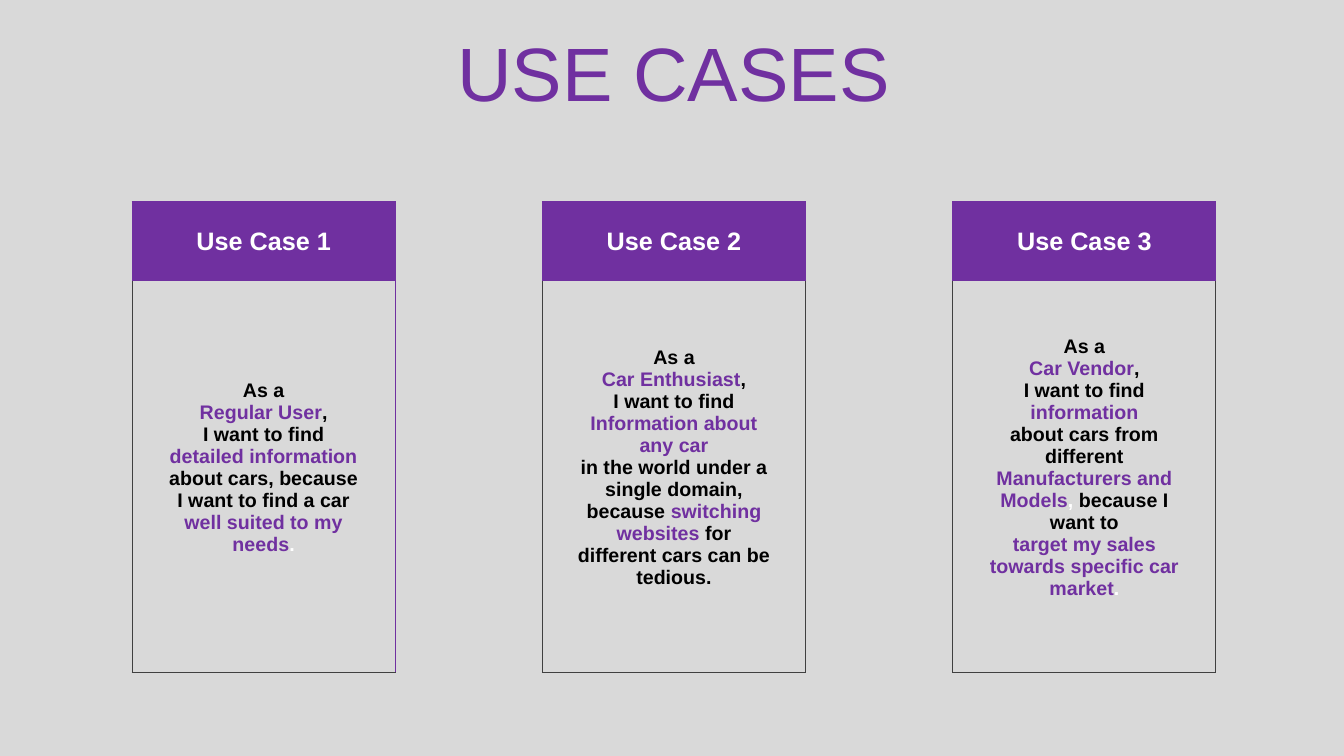
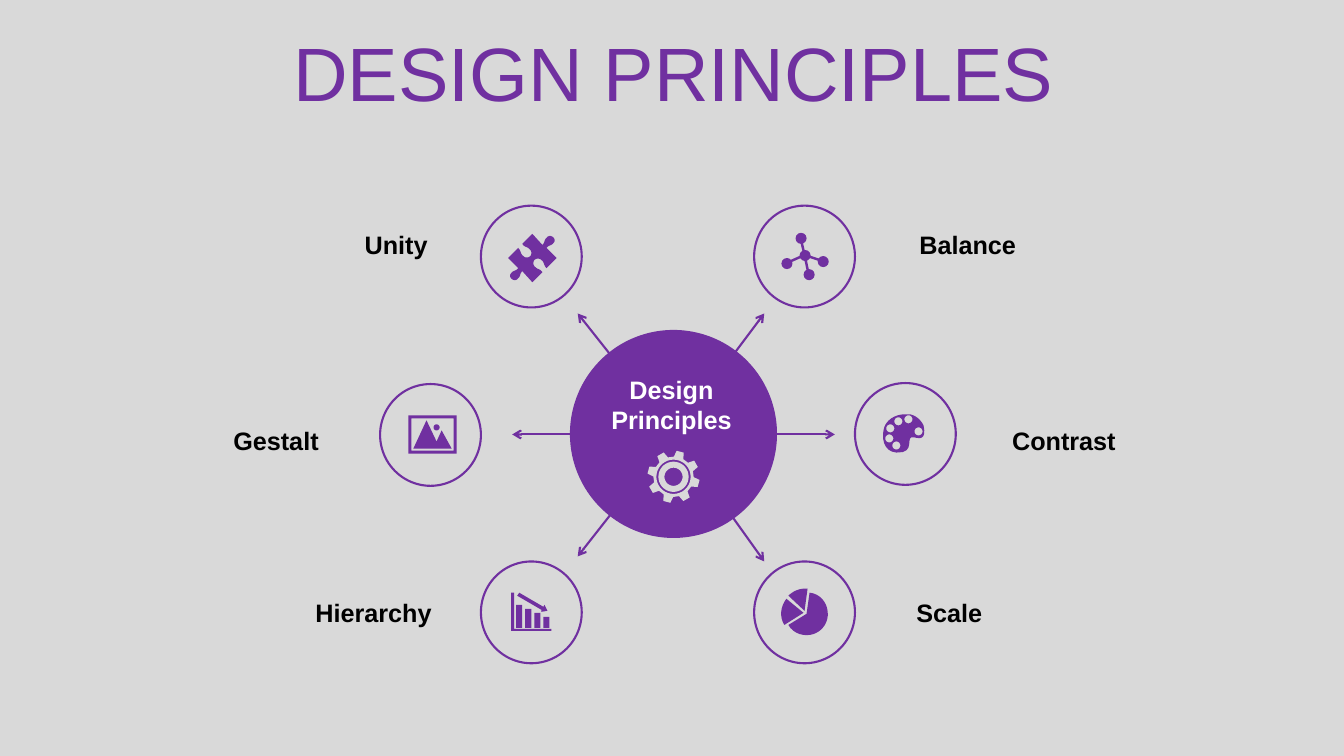
"""Build a use case slide and a design principles slide."""
import math
import pptx
import pptx.dml.color
import pptx.enum.shapes
import pptx.enum.text
import pptx.oxml.ns
import pptx.oxml.xmlchemy
import pptx.util

Inches = pptx.util.Inches
Pt = pptx.util.Pt
RGB = pptx.dml.color.RGBColor
SHAPE = pptx.enum.shapes.MSO_SHAPE
LINE = pptx.enum.shapes.MSO_CONNECTOR.STRAIGHT
ALIGN = pptx.enum.text.PP_ALIGN
MIDDLE = pptx.enum.text.MSO_ANCHOR.MIDDLE
make = pptx.oxml.xmlchemy.OxmlElement
qn = pptx.oxml.ns.qn

PURPLE = RGB(0x70, 0x30, 0xA0)
GRAY = RGB(0xD9, 0xD9, 0xD9)
DARK = RGB(0x40, 0x40, 0x40)
BLACK = RGB(0, 0, 0)
WHITE = RGB(0xFF, 0xFF, 0xFF)
FONT = "Arial"
PLAIN = "{2D5ABB26-0587-4C30-8999-92F81FD0307C}"

CASES = [
    ("Use Case 1", PURPLE, [
        [("As a", BLACK)],
        [("Regular User", PURPLE), (",", BLACK)],
        [("I want to find", BLACK)],
        [("detailed information", PURPLE)],
        [("about cars, because I want to find a car", BLACK)],
        [("well suited to my needs", PURPLE), (".", WHITE)],
    ]),
    ("Use Case 2", DARK, [
        [("As a", BLACK)],
        [("Car Enthusiast", PURPLE), (",", BLACK)],
        [("I want to find", BLACK)],
        [("Information about any car", PURPLE)],
        [("in the world under a single domain, because ", BLACK),
         ("switching websites ", PURPLE),
         ("for different cars can be tedious.", BLACK)],
    ]),
    ("Use Case 3", DARK, [
        [("As a", BLACK)],
        [("Car Vendor", PURPLE), (",", BLACK)],
        [("I want to find", BLACK)],
        [("information", PURPLE)],
        [("about cars from different ", BLACK),
         ("Manufacturers and Models", PURPLE), (", ", WHITE),
         ("because I want to", BLACK)],
        [("target my sales towards specific car market", PURPLE),
         (".", WHITE)],
    ]),
]
COLS = (0.25, 2.11, 0.25)
ROWS = (0.79, 3.48, 0.4)

HUB = (6.68, 4.31)
LABEL_W = 2.7
SPOKES = [
    ("Balance", ALIGN.LEFT, 9.02, 2.23, (7.48, 2.04), (7.58, 3.11)),
    ("Contrast", ALIGN.LEFT, 9.94, 4.17, (8.48, 3.8), (8.28, 4.31)),
    ("Scale", ALIGN.LEFT, 8.99, 5.88, (7.48, 5.57), (7.58, 5.57)),
    ("Unity", ALIGN.RIGHT, 4.34, 2.23, (4.77, 2.04), (5.73, 3.11)),
    ("Gestalt", ALIGN.RIGHT, 3.26, 4.17, (3.77, 3.81), (5.08, 4.31)),
    ("Hierarchy", ALIGN.RIGHT, 4.38, 5.88, (4.77, 5.57), (5.73, 5.52)),
]
CORE = (7.98, 2.53)
NODES = [(7.94, 2.36), (8.16, 2.59), (8.02, 2.72), (7.8, 2.61)]
WELLS = [(8.89, 4.42), (8.82, 4.35), (9.11, 4.28),
         (8.83, 4.25), (8.91, 4.18), (9.01, 4.16)]
PALETTE = [
    (8.98, 4.11), (9.01, 4.11), (9.07, 4.11, 9.13, 4.16, 9.16, 4.22),
    (9.19, 4.37, 9.12, 4.35, 9.07, 4.34),
    (8.96, 4.31, 9.1, 4.5, 8.89, 4.49),
    (8.76, 4.48, 8.74, 4.34, 8.77, 4.24),
    (8.79, 4.18, 8.86, 4.11, 8.98, 4.11),
]
PIE = [
    [(7.8, 5.94), (7.97, 6.08), (7.78, 6.2),
     (7.73, 6.12, 7.74, 6.02, 7.8, 5.94)],
    [(8.03, 5.88), (8.13, 5.89, 8.2, 5.97, 8.21, 6.07),
     (8.22, 6.17, 8.16, 6.26, 8.07, 6.29),
     (7.98, 6.32, 7.87, 6.29, 7.82, 6.2), (8, 6.09)],
    [(7.98, 5.84), (8.01, 5.84), (7.98, 6.06), (7.82, 5.91),
     (7.86, 5.87, 7.92, 5.84, 7.98, 5.84)],
]
PUZZLE_MID = (5.28, 2.56)
PUZZLE_HALF = [
    (5.48, 2.35), (5.5, 2.36, 5.51, 2.39, 5.49, 2.41),
    (5.47, 2.44, 5.44, 2.43, 5.42, 2.46), (5.52, 2.56), (5.42, 2.66),
    (5.39, 2.63, 5.4, 2.6, 5.37, 2.58),
    (5.35, 2.56, 5.32, 2.56, 5.3, 2.58),
    (5.29, 2.59, 5.28, 2.63, 5.31, 2.65),
    (5.34, 2.68, 5.35, 2.66, 5.38, 2.7), (5.28, 2.8), (5.18, 2.69),
    (5.15, 2.72, 5.17, 2.73, 5.14, 2.76),
    (5.12, 2.79, 5.08, 2.78, 5.07, 2.76),
]
PEAKS = [(4.23, 4.17), (4.33, 4.38), (4.38, 4.27), (4.48, 4.45), (4.1, 4.45)]
AXES = [(5.07, 5.88), (5.1, 5.88), (5.1, 6.24), (5.47, 6.24),
        (5.47, 6.26), (5.07, 6.26)]
TREND = [(5.15, 5.88), (5.39, 6.02), (5.4, 6), (5.43, 6.06),
         (5.37, 6.07), (5.37, 6.05), (5.13, 5.91)]
BARS = (6, 6.04, 6.08, 6.12)


def trace(path):
    out = [path[0]]
    for seg in path[1:]:
        if len(seg) == 2:
            out.append(seg)
            continue
        knots = [out[-1], seg[:2], seg[2:4], seg[4:]]
        for step in range(1, 9):
            t = step / 8
            mix = ((1 - t) ** 3, 3 * t * (1 - t) ** 2, 3 * t * t * (1 - t), t ** 3)
            out.append(tuple(sum(m * k[i] for m, k in zip(mix, knots))
                             for i in (0, 1)))
    return out


def polar(mid, size, turn):
    a = math.radians(turn)
    return mid[0] + size * math.sin(a), mid[1] - size * math.cos(a)


def ring(mid, size):
    return [polar(mid, size, turn) for turn in range(0, 360, 10)]


def box(left, top, right, low):
    return [(left, top), (right, top), (right, low), (left, low)]


def icon(slide, paths, color=PURPLE):
    build = None
    for path in paths:
        pts = [(Inches(x), Inches(y)) for x, y in trace(path)]
        if build is None:
            build = slide.shapes.build_freeform(*pts[0])
        else:
            build.move_to(*pts[0])
        build.add_line_segments(pts[1:], close=True)
    paint(build.convert_to_shape(), color)


def paint(shape, fill=None, width=None):
    shape.shadow.inherit = False
    if fill is None:
        shape.fill.background()
    else:
        shape.fill.solid()
        shape.fill.fore_color.rgb = fill
    if width is None:
        shape.line.fill.background()
    else:
        shape.line.color.rgb = PURPLE
        shape.line.width = Pt(width)


def disc(slide, left, top, wide, high, fill=None, width=None):
    dims = [Inches(v) for v in (left, top, wide, high)]
    paint(slide.shapes.add_shape(SHAPE.OVAL, *dims), fill, width)


def link(slide, start, end, width, head=False):
    line = slide.shapes.add_connector(LINE, *[Inches(v) for v in start + end])
    line.line.color.rgb = PURPLE
    line.line.width = Pt(width)
    props = line._element.spPr
    if head:
        tip = make("a:tailEnd")
        tip.set("type", "arrow")
        props.find(qn("a:ln")).append(tip)
    props.append(make("a:effectLst"))


def style(para, size, color=None, align=ALIGN.CENTER, bold=True):
    para.alignment = align
    para.font.name = FONT
    para.font.size = Pt(size)
    para.font.bold = bold
    if color is not None:
        para.font.color.rgb = color


def label(slide, text, dims, align, color=BLACK):
    frame = slide.shapes.add_textbox(*[Inches(v) for v in dims]).text_frame
    frame.word_wrap = True
    frame.vertical_anchor = MIDDLE
    frame.text = text
    style(frame.paragraphs[0], 18, color, align)


def begin(deck, text):
    slide = deck.slides.add_slide(deck.slide_layouts[5])
    title = slide.shapes.title
    title.left, title.top = Inches(0.35), Inches(0.37)
    title.width, title.height = Inches(12.66), Inches(0.79)
    frame = title.text_frame
    frame.text = text
    frame.auto_size = pptx.enum.text.MSO_AUTO_SIZE.NONE
    frame.vertical_anchor = MIDDLE
    style(frame.paragraphs[0], 54, PURPLE, bold=False)
    frame.paragraphs[0].line_spacing = 0.9
    return slide


def edge(cell, side, color, width):
    line = make("a:ln" + side)
    line.set("w", str(int(Pt(width))))
    fill = make("a:solidFill")
    tint = make("a:srgbClr")
    tint.set("val", str(color))
    fill.append(tint)
    line.append(fill)
    cell._tc.get_or_add_tcPr().append(line)


def card(slide, left, head, side, body):
    dims = [Inches(v) for v in (left, 2, sum(COLS), sum(ROWS))]
    table = slide.shapes.add_table(len(ROWS), len(COLS), *dims).table
    table.first_row = table.horz_banding = False
    table._tbl.tblPr.find(qn("a:tableStyleId")).text = PLAIN
    for col, wide in zip(table.columns, COLS):
        col.width = Inches(wide)
    for r, high in enumerate(ROWS):
        table.rows[r].height = Inches(high)
        for c in range(len(COLS)):
            cell = table.cell(r, c)
            if c == 0:
                edge(cell, "L", DARK if r else PURPLE, 0.75)
            if c == 2:
                edge(cell, "R", side if r else PURPLE, 1 if side == PURPLE else 0.75)
            if r == 0:
                edge(cell, "T", PURPLE, 1)
                cell.fill.solid()
                cell.fill.fore_color.rgb = PURPLE
                continue
            if r == 2:
                edge(cell, "B", DARK, 0.75)
            cell.fill.background()
    top, main_cell = table.cell(0, 1), table.cell(1, 1)
    top.vertical_anchor = main_cell.vertical_anchor = MIDDLE
    top.text = head
    style(top.text_frame.paragraphs[0], 18, WHITE)
    main_cell.margin_top = Inches(0.27)
    text = main_cell.text_frame
    for i, runs in enumerate(body):
        para = text.add_paragraph() if i else text.paragraphs[0]
        style(para, 14)
        for words, color in runs:
            run = para.add_run()
            run.text = words
            run.font.color.rgb = color


def main():
    deck = pptx.Presentation()
    deck.slide_width, deck.slide_height = Inches(13.33), Inches(7.5)
    back = deck.slide_master.background.fill
    back.solid()
    back.fore_color.rgb = GRAY

    slide = begin(deck, "USE CASES")
    for i, case in enumerate(CASES):
        card(slide, 1.31 + 4.07 * i, *case)

    slide = begin(deck, "DESIGN PRINCIPLES")
    for text, align, x, y, spot, tip in SPOKES:
        left = x if align == ALIGN.LEFT else x - LABEL_W
        label(slide, text, (left, y, LABEL_W, 0.4), align)
        link(slide, HUB, tip, 1.5, True)
        disc(slide, *spot, 1, 1.01, width=1.5)
    disc(slide, 5.66, 3.28, 2.04, 2.05, PURPLE, 1)
    label(slide, "Design Principles", (5.8, 3.66, 1.72, 0.71), ALIGN.CENTER, WHITE)

    hub = (6.68, 4.73)
    gear = [polar(hub, size, 15 + 45 * i + turn) for i in range(8)
            for size, turn in ((0.2, -14), (0.26, -8), (0.26, 8), (0.2, 14))]
    icon(slide, [gear] + [ring(hub, r) for r in (0.17, 0.15, 0.09)], GRAY)
    half = trace(PUZZLE_HALF)
    mx, my = PUZZLE_MID
    icon(slide, [half + [(2 * mx - x, 2 * my - y) for x, y in half]])
    icon(slide, [PALETTE] + [ring(well, 0.04) for well in WELLS])
    for node in NODES:
        link(slide, CORE, node, 1.75)
    for x, y in NODES + [CORE]:
        disc(slide, x - 0.05, y - 0.05, 0.11, 0.11, PURPLE)
    icon(slide, [box(4.05, 4.12, 4.53, 4.5), box(4.08, 4.15, 4.5, 4.47),
                 PEAKS, ring((4.33, 4.24), 0.03)])
    bars = [box(5.12 + 0.09 * i, y, 5.18 + 0.09 * i, 6.23)
            for i, y in enumerate(BARS)]
    icon(slide, bars + [AXES, TREND])
    icon(slide, PIE)
    deck.save("out.pptx")


if __name__ == "__main__":
    main()
